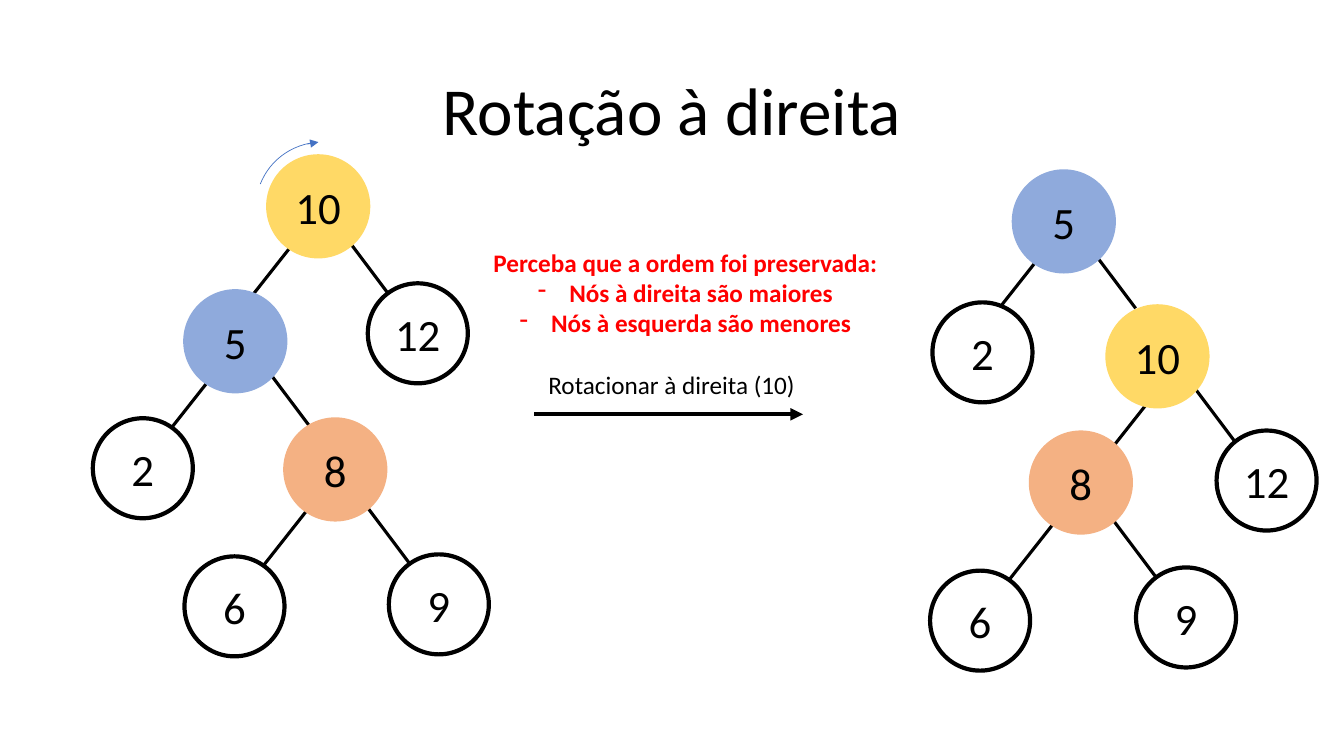
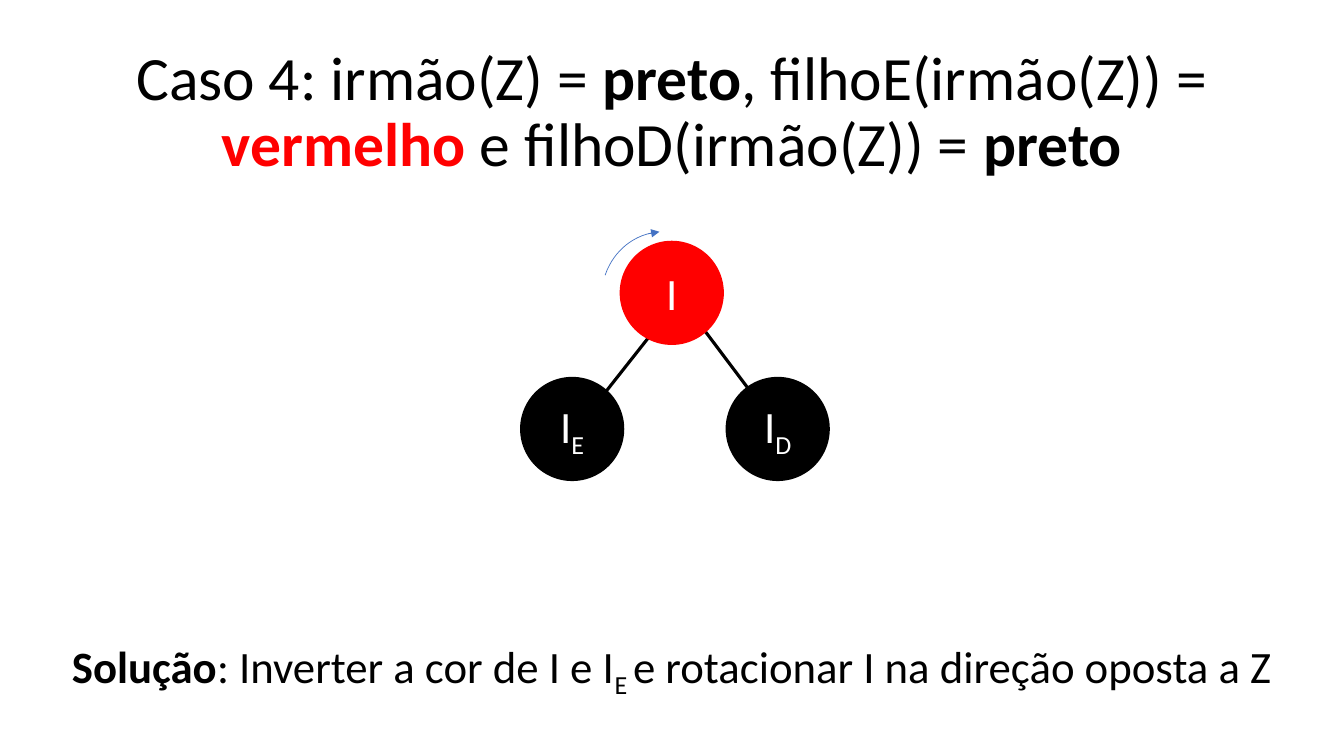
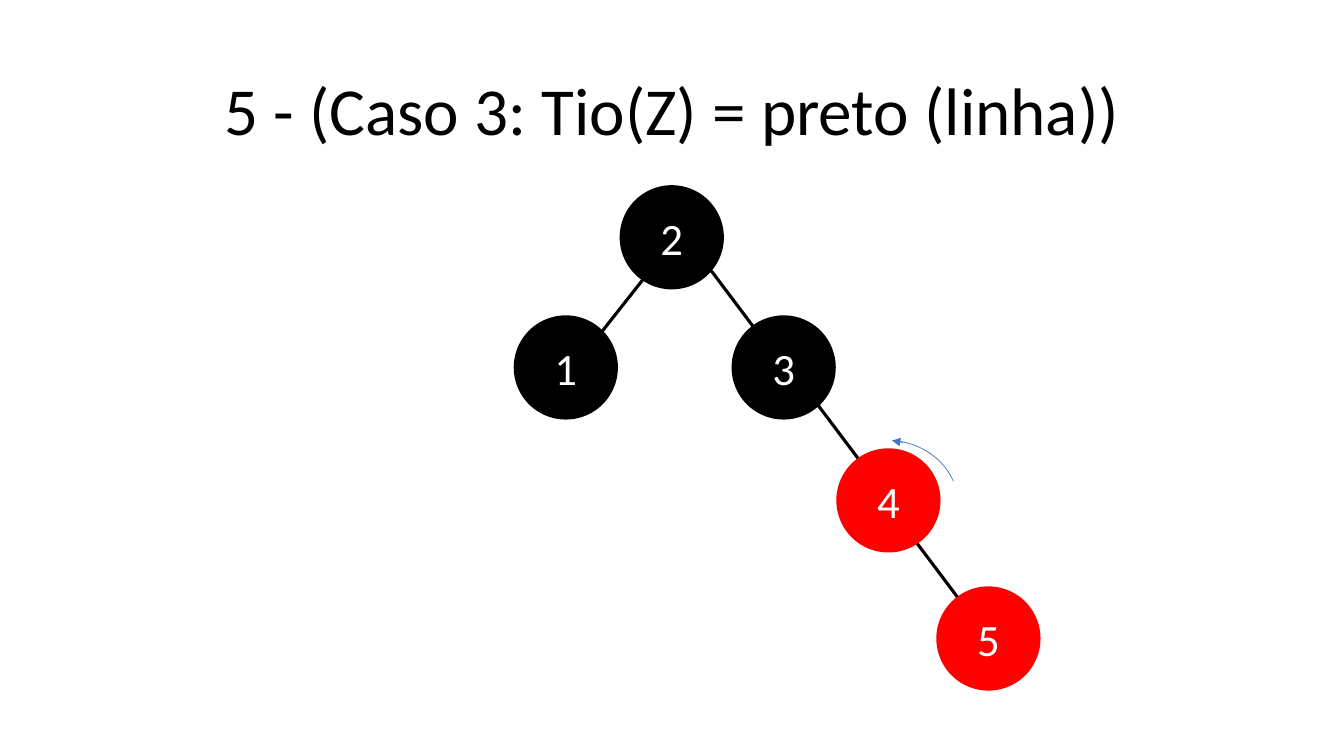
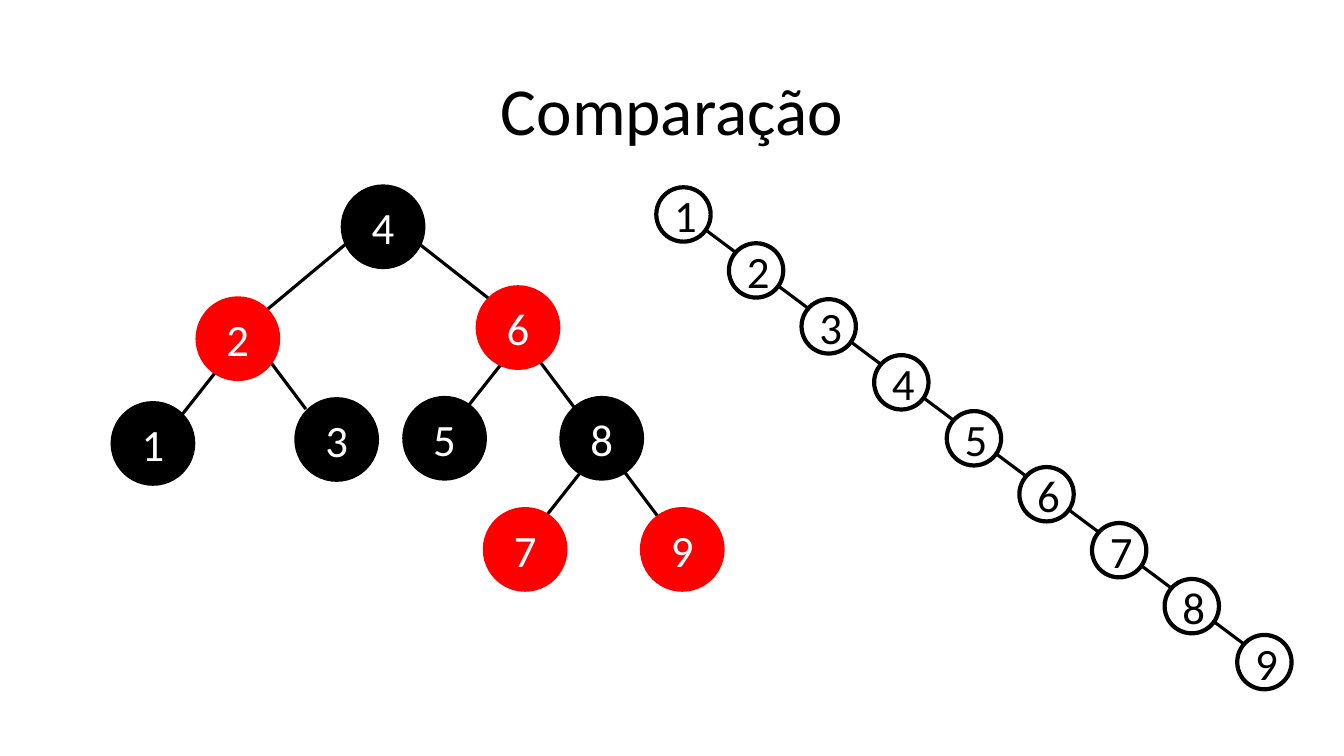
from lxml.etree import SubElement
from pptx import Presentation
from pptx.dml.color import RGBColor
from pptx.enum.shapes import MSO_CONNECTOR, MSO_SHAPE
from pptx.enum.text import MSO_ANCHOR, PP_ALIGN
from pptx.oxml.ns import qn
from pptx.util import Cm, Pt

BLACK, WHITE, RED = "000000", "FFFFFF", "FF0000"
YELLOW, BLUE, ORANGE = "FFD966", "8FAADC", "F4B183"
ARC_BLUE = "4472C4"
FONT = "Calibri"
SLIDE_WIDTH, SLIDE_HEIGHT = 33.87, 19.05
NODE = 2.52
SMALL_NODE = 2.03
CHAIN_NODE = 1.37
LEFT_BRANCH, RIGHT_BRANCH = (-1.12, 1.42), (1.09, 1.45)
ANGLE_UNIT = 0.6  # adjustment units per degree of arc
BOLD, SUB = {"bold": True}, {"sub": True}


def rgb(value):
    return RGBColor.from_string(value)


class Deck:
    """Holds the shared style and the slide being drawn."""

    def __init__(self):
        self.prs = Presentation()
        self.prs.slide_width, self.prs.slide_height = Cm(SLIDE_WIDTH), Cm(SLIDE_HEIGHT)
        self.slide = None

    def new_slide(self, *title_runs, size=48):
        self.slide = self.prs.slides.add_slide(self.prs.slide_layouts[6])
        self.text((2.33, 1.02, 29.21, 3.68), [title_runs], size,
                  anchor=MSO_ANCHOR.MIDDLE, spacing=0.9)

    def fill_paragraph(self, paragraph, runs, size, color, bold=False):
        """Fill a centred paragraph with runs, each a string or (string, style)."""
        paragraph.alignment = PP_ALIGN.CENTER
        for item in runs:
            words, style = (item, {}) if isinstance(item, str) else item
            run = paragraph.add_run()
            run.text = words
            run.font.name, run.font.size = FONT, Pt(size)
            run.font.bold = style.get("bold", bold)
            run.font.color.rgb = rgb(style.get("color", color))
            if style.get("sub"):
                run.font._element.set("baseline", "-25000")

    def text(self, box, paragraphs, size, color=BLACK, bold=False,
             anchor=MSO_ANCHOR.TOP, spacing=None, dashed_from=None):
        """Add a text box; paragraphs from index dashed_from on get a dash."""
        frame = self.slide.shapes.add_textbox(*map(Cm, box)).text_frame
        frame.word_wrap = True
        frame.vertical_anchor = anchor
        for index, runs in enumerate(paragraphs):
            paragraph = frame.add_paragraph() if index else frame.paragraphs[0]
            if spacing:
                paragraph.line_spacing = spacing
            if dashed_from is not None and index >= dashed_from:
                properties = paragraph._p.get_or_add_pPr()
                properties.set("marL", str(Cm(0.79)))
                properties.set("indent", str(Cm(-0.79)))
                SubElement(properties, qn("a:buFontTx"))
                SubElement(properties, qn("a:buChar")).set("char", "-")
            self.fill_paragraph(paragraph, runs, size, color, bold)

    def line(self, start, end, width=2.25, color=BLACK, arrow=False):
        line = self.slide.shapes.add_connector(
            MSO_CONNECTOR.STRAIGHT, *map(Cm, (*start, *end)))
        line.line.width = Pt(width)
        line.line.color.rgb = rgb(color)
        if arrow:
            outline = line._element.spPr.find(qn("a:ln"))
            SubElement(outline, qn("a:tailEnd")).set("type", "triangle")
        SubElement(line._element.spPr, qn("a:effectLst"))

    def branches(self, starts, vector, scale=1):
        """Draw parallel tree edges of one length from the given points."""
        for x, y in starts:
            self.line((x, y), (x + vector[0] * scale, y + vector[1] * scale))

    def node(self, runs, x, y, fill=WHITE, diameter=NODE):
        """Add a circle: white and hollow ones have a black rim, others their own."""
        circle = self.slide.shapes.add_shape(
            MSO_SHAPE.OVAL, Cm(x), Cm(y), Cm(diameter), Cm(diameter))
        circle.shadow.inherit = False
        if fill:
            circle.fill.solid()
            circle.fill.fore_color.rgb = rgb(fill)
        else:
            circle.fill.background()
        circle.line.width = Pt(3)
        circle.line.color.rgb = rgb(BLACK if fill in (None, WHITE) else fill)
        circle.text_frame.vertical_anchor = MSO_ANCHOR.MIDDLE
        self.fill_paragraph(circle.text_frame.paragraphs[0], runs, 32,
                            WHITE if fill in (BLACK, RED) else BLACK)

    def tree(self, nodes, left_starts, right_starts, diameter=NODE):
        scale = diameter / NODE
        self.branches(left_starts, LEFT_BRANCH, scale)
        self.branches(right_starts, RIGHT_BRANCH, scale)
        for node in nodes:
            self.node(*node, diameter=diameter)

    def rotation(self, x, y, width, clockwise=True):
        """Add the thin curved arrow that shows which way a node turns."""
        arc = self.slide.shapes.add_shape(
            MSO_SHAPE.ARC, Cm(x), Cm(y), Cm(width), Cm(3.3))
        arc.shadow.inherit = False
        arc.adjustments[0] = 280.2 * ANGLE_UNIT
        arc.adjustments[1] = 339.35 * ANGLE_UNIT
        arc.fill.background()
        arc.line.width = Pt(0.5)
        arc.line.color.rgb = rgb(ARC_BLUE)
        if clockwise:
            arc._element.spPr.find(qn("a:xfrm")).set("flipH", "1")
        side = -1 if clockwise else 1
        top = x + width / 2
        self.line((top + side * 0.38, y + 0.05), (top + side * 0.1, y),
                  0.5, ARC_BLUE, arrow=True)


def right_rotation(deck):
    deck.new_slide("Rotação à direita")
    deck.text((12.17, 6.1, 10.21, 2.57),
              [["Perceba que a ordem foi preservada:"],
               ["Nós à direita são maiores"],
               ["Nós à esquerda são menores"]],
              18, RED, bold=True, dashed_from=1)
    deck.text((13.23, 9.19, 7.39, 1.02), [["Rotacionar à direita (10)"]], 18)
    deck.line((13.46, 10.44), (20.24, 10.44), 3, arrow=True)
    deck.tree(
        [(["10"], 6.76, 3.94, YELLOW), (["12"], 9.27, 7.14),
         (["5"], 4.67, 7.34, BLUE), (["2"], 2.34, 10.54),
         (["8"], 7.19, 10.57, ORANGE), (["6"], 4.65, 14.02), (["9"], 9.8, 13.97)],
        [(7.34, 6.2), (5.41, 9.4), (7.72, 12.88)],
        [(8.71, 5.97), (6.81, 9.42), (9.27, 12.8)])
    deck.rotation(6.45, 3.58, 3.35)
    deck.tree(
        [(["5"], 25.55, 4.32, BLUE), (["2"], 23.5, 7.62),
         (["10"], 27.91, 7.72, YELLOW), (["12"], 30.66, 10.85),
         (["8"], 25.98, 10.9, ORANGE), (["6"], 23.44, 14.38), (["9"], 28.63, 14.3)],
        [(26.14, 6.55), (29.11, 9.91), (26.52, 13.23)],
        [(27.53, 6.32), (30.07, 9.73), (28.07, 13.13)])


def case_four(deck):
    deck.new_slide("Caso 4: irmão(Z) = ", ("preto", BOLD), ", filhoE(irmão(Z)) = ",
                   ("vermelho ", {"bold": True, "color": RED}),
                   "e filhoD(irmão(Z)) = ", ("preto", BOLD), size=44)
    deck.tree(
        [(["I"], 15.67, 6.12, RED), (["I", ("E", SUB)], 13.16, 9.55, BLACK),
         (["I", ("D", SUB)], 18.34, 9.55, BLACK)],
        [(16.38, 8.46)], [(17.78, 8.36)])
    deck.rotation(15.16, 5.84, 3.12)
    deck.text((0, 14.5, SLIDE_WIDTH, 4.6),
              [[("Solução", BOLD), ": Inverter a cor de I e I", ("E ", SUB),
                "e rotacionar I na direção oposta a Z"]],
              32, anchor=MSO_ANCHOR.MIDDLE, spacing=0.9)


def case_three(deck):
    deck.new_slide("5 - (Caso 3: Tio(Z) = preto (linha))")
    deck.tree(
        [(["2"], 15.67, 4.72, BLACK), (["1"], 13, 8, BLACK), (["3"], 18.49, 8, BLACK),
         (["4"], 21.13, 11.35, RED), (["5"], 23.65, 14.83, RED)],
        [(16.23, 7.01)],
        [(17.93, 6.83), (20.6, 10.19), (23.11, 13.69)])
    deck.rotation(20.6, 11.1, 3.56, clockwise=False)


def comparison(deck):
    deck.new_slide("Comparação")
    deck.line((8.81, 6.07), (6.71, 7.82))
    deck.line((10.44, 6.05), (12.34, 7.54))
    deck.tree(
        [(["4"], 8.64, 4.7, BLACK), (["2"], 4.98, 7.52, RED), (["6"], 12.04, 7.24, RED),
         (["1"], 2.84, 10.16, BLACK), (["3"], 7.47, 10.06, BLACK),
         (["5"], 10.19, 10.03, BLACK), (["8"], 14.15, 10.03, BLACK),
         (["7"], 12.22, 12.83, RED), (["9"], 16.18, 12.83, RED)],
        [(5.44, 9.37), (12.62, 9.19), (14.68, 11.84)],
        [(6.83, 9.14), (13.61, 9.12), (15.75, 11.91)], SMALL_NODE)
    chain = [(16.54 + 1.83 * i, 4.72 + 1.41 * i) for i in range(9)]
    deck.branches([(x + 1.21, y + 1.05) for x, y in chain[:-1]], (0.79, 0.59))
    for key, (x, y) in enumerate(chain, 1):
        deck.node([str(key)], x, y, None, CHAIN_NODE)


def main():
    deck = Deck()
    for build in (right_rotation, case_four, case_three, comparison):
        build(deck)
    deck.prs.save("out.pptx")


if __name__ == "__main__":
    main()
